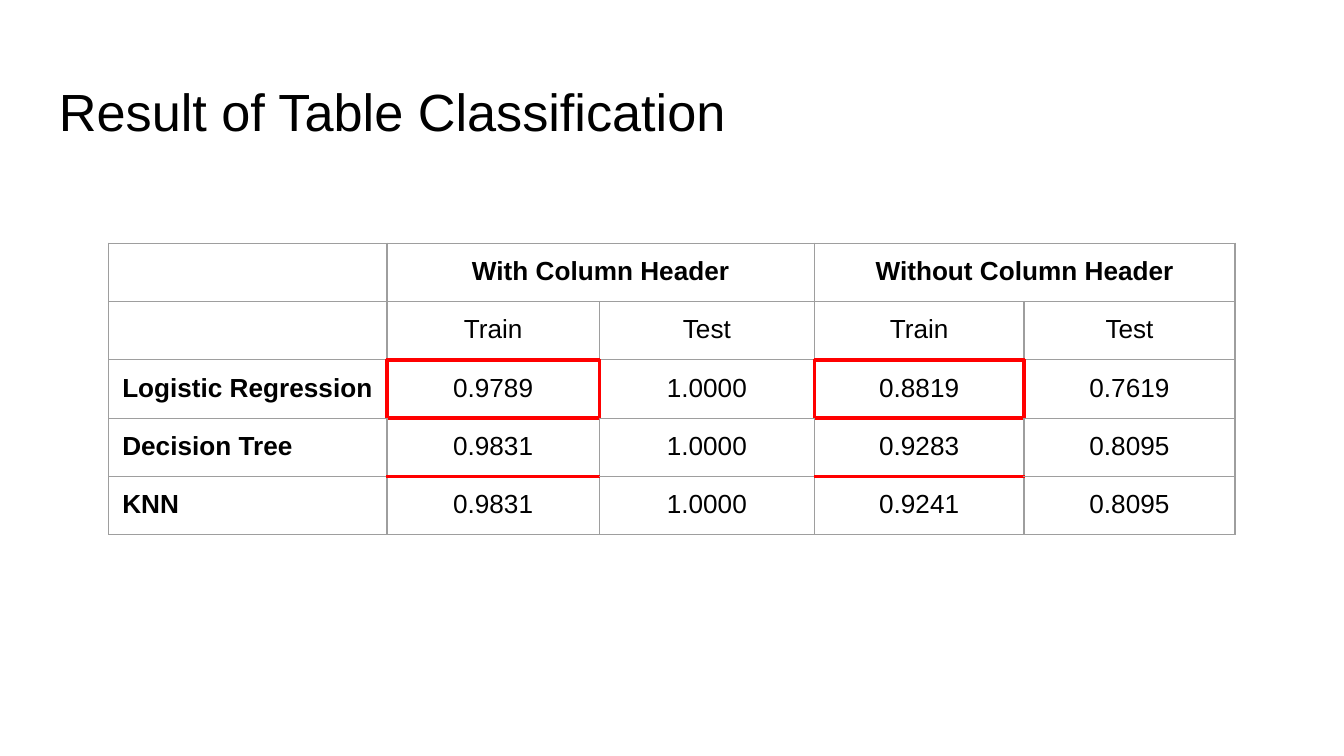
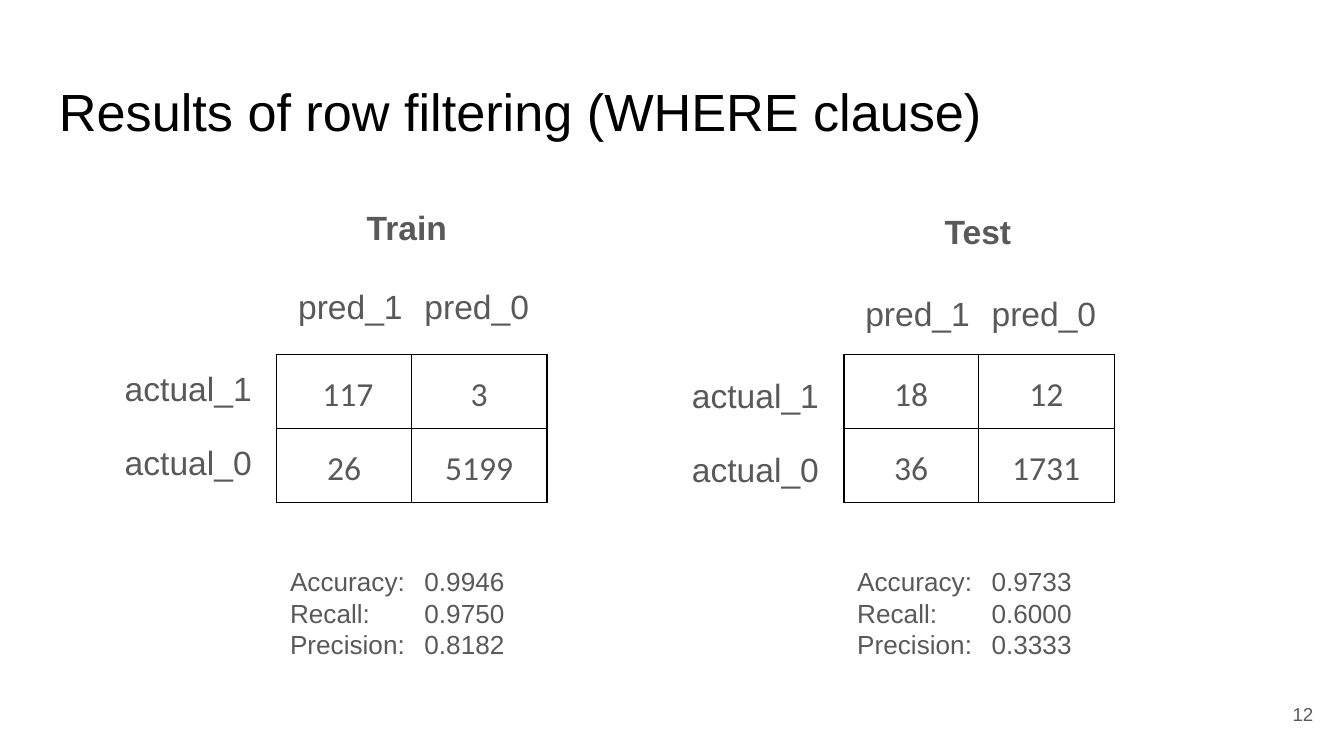
from dataclasses import dataclass

from lxml.etree import SubElement
from pptx import Presentation
from pptx.dml.color import RGBColor
from pptx.enum.text import MSO_ANCHOR, PP_ALIGN
from pptx.oxml.ns import qn
from pptx.slide import Slide
from pptx.table import Table, _Cell
from pptx.text.text import TextFrame
from pptx.util import Inches, Pt

BLACK = RGBColor(0x00, 0x00, 0x00)
GREY = RGBColor(0x59, 0x59, 0x59)
RULE_GREY = RGBColor(0x9E, 0x9E, 0x9E)
RED = RGBColor(0xFF, 0x00, 0x00)
INSET = Inches(0.1)
SIDES = {"lnL": (0, -1), "lnR": (0, 1), "lnT": (-1, 0), "lnB": (1, 0)}


@dataclass(frozen=True)
class TextStyle:
    size: float
    color: RGBColor = GREY
    bold: bool = False
    font: str = "Arial"
    align: PP_ALIGN = PP_ALIGN.LEFT
    line_spacing: float = 1.0


@dataclass(frozen=True)
class Border:
    color: RGBColor
    width: float = 0.75


@dataclass(frozen=True)
class ConfusionMatrix:
    heading: str
    left: float
    heading_left: float
    heading_top: float
    heading_width: float
    label_drop: float
    counts: list[list[str]]
    scores: list[str]


TITLE = TextStyle(28, BLACK)
PAGE_NUMBER = TextStyle(10, align=PP_ALIGN.RIGHT)
LABEL = TextStyle(18)
HEADING = TextStyle(18, bold=True)
SCORES = TextStyle(14)
COUNT = TextStyle(18, font="Calibri", align=PP_ALIGN.CENTER, line_spacing=1.15)
VALUE = TextStyle(14, BLACK, align=PP_ALIGN.CENTER)
COLUMN_HEADER = TextStyle(14, BLACK, bold=True, align=PP_ALIGN.CENTER)
ROW_HEADER = TextStyle(14, BLACK, bold=True)

CLASSIFICATION = [
    ["", "With Column Header", "", "Without Column Header", ""],
    ["", "Train", "Test", "Train", "Test"],
    ["Logistic Regression", "0.9789", "1.0000", "0.8819", "0.7619"],
    ["Decision Tree", "0.9831", "1.0000", "0.9283", "0.8095"],
    ["KNN", "0.9831", "1.0000", "0.9241", "0.8095"],
]
HIGHLIGHTED = {(2, 1), (2, 3)}
RED_UNDERLINES = {(3, 1, "lnB"), (4, 1, "lnT"), (3, 3, "lnB"), (4, 3, "lnT")}

MATRICES = [
    ConfusionMatrix("Train", 2.06, 2.63, 1.44, 0.87, 0,
                    [[" 117", "3"], ["26", "5199"]], ["0.9946", "0.9750", "0.8182"]),
    ConfusionMatrix("Test", 6.28, 6.93, 1.47, 0.71, 0.05,
                    [["18", "12"], ["36", "1731"]], ["0.9733", "0.6000", "0.3333"]),
]


def write_text(frame: TextFrame, text: str, style: TextStyle) -> None:
    frame.text = text
    for paragraph in frame.paragraphs:
        paragraph.alignment = style.align
        paragraph.line_spacing = style.line_spacing
        paragraph.font.name = style.font
        paragraph.font.size = Pt(style.size)
        paragraph.font.bold = style.bold
        paragraph.font.color.rgb = style.color
        if not paragraph.runs:
            ending = SubElement(paragraph._p, qn("a:endParaRPr"), sz=str(style.size * 100))
            SubElement(ending, qn("a:latin"), typeface=style.font)


def add_text(slide: Slide, left: float, top: float, width: float, height: float,
             text: str, style: TextStyle, anchor: MSO_ANCHOR = MSO_ANCHOR.TOP) -> None:
    box = slide.shapes.add_textbox(Inches(left), Inches(top), Inches(width), Inches(height))
    frame = box.text_frame
    frame.word_wrap = True
    frame.vertical_anchor = anchor
    frame.margin_left = frame.margin_right = frame.margin_top = frame.margin_bottom = INSET
    write_text(frame, text, style)


def set_borders(cell: _Cell, borders: dict[str, Border]) -> None:
    properties = cell._tc.get_or_add_tcPr()
    for index, (side, border) in enumerate(borders.items()):
        line = SubElement(properties, qn(f"a:{side}"), w=str(Pt(border.width)))
        fill = SubElement(line, qn("a:solidFill"))
        SubElement(fill, qn("a:srgbClr"), val=str(border.color))
        properties.insert(index, line)


def add_grid(slide: Slide, left: float, top: float, widths: list[float],
             row_height: float, rows: int) -> Table:
    table = slide.shapes.add_table(rows, len(widths), Inches(left), Inches(top),
                                   Inches(sum(widths)), Inches(row_height * rows)).table
    table.first_row = table.horz_banding = False
    for column, width in zip(table.columns, widths):
        column.width = Inches(width)
    return table


def fill_cell(cell: _Cell, text: str, style: TextStyle, borders: dict[str, Border]) -> None:
    cell.margin_left = cell.margin_right = cell.margin_top = cell.margin_bottom = INSET
    cell.fill.background()
    write_text(cell.text_frame, text, style)
    set_borders(cell, borders)


def classification_style(row: int, column: int) -> TextStyle:
    if row == 0:
        return COLUMN_HEADER
    return ROW_HEADER if column == 0 else VALUE


def classification_borders(row: int, column: int) -> dict[str, Border]:
    def is_red(side: str, down: int, across: int) -> bool:
        neighbours = {(row, column), (row + down, column + across)}
        return bool(neighbours & HIGHLIGHTED) or (row, column, side) in RED_UNDERLINES

    return {side: Border(RED, 2.25) if is_red(side, *step) else Border(RULE_GREY)
            for side, step in SIDES.items()}


def add_classification_table(slide: Slide) -> None:
    table = add_grid(slide, 0.81, 1.81, [2.07, 1.58, 1.6, 1.56, 1.57], 0.42,
                     len(CLASSIFICATION))
    for row, texts in enumerate(CLASSIFICATION):
        for column, text in enumerate(texts):
            fill_cell(table.cell(row, column), text, classification_style(row, column),
                      classification_borders(row, column))
    for column in (1, 3):
        table.cell(0, column).merge(table.cell(0, column + 1))


def add_confusion_matrix(slide: Slide, matrix: ConfusionMatrix) -> None:
    table = add_grid(slide, matrix.left, 2.64, [1, 1.01], 0.55, len(matrix.counts))
    borders = {side: Border(BLACK) for side in SIDES}
    for row, counts in enumerate(matrix.counts):
        for column, count in enumerate(counts):
            fill_cell(table.cell(row, column), count, COUNT, borders)
    for index, label in enumerate(("1", "0")):
        add_text(slide, matrix.left - 1.23, 2.64 + matrix.label_drop + 0.55 * index,
                 1.23, 0.43, f"actual_{label}", LABEL)
        add_text(slide, matrix.left + 0.06 + 0.94 * index, 2.03 + matrix.label_drop,
                 1, 0.43, f"pred_{label}", LABEL)
    add_text(slide, matrix.heading_left, matrix.heading_top, matrix.heading_width, 0.43,
             matrix.heading, HEADING)
    names = ("Accuracy", "Recall", "Precision")
    scores = "\n".join(f"{name}:\t{score}" for name, score in zip(names, matrix.scores))
    add_text(slide, matrix.left, 4.11, 2.2, 0.82, scores, SCORES)


def add_titled_slide(title: str) -> Slide:
    slide = presentation.slides.add_slide(presentation.slide_layouts[6])
    add_text(slide, 0.34, 0.49, 9.32, 0.63, title, TITLE)
    return slide


presentation = Presentation()
presentation.slide_width = Inches(10)
presentation.slide_height = Inches(10 * 9 / 16)

classification_slide = add_titled_slide("Result of Table Classification")
add_classification_table(classification_slide)

filtering_slide = add_titled_slide("Results of row filtering (WHERE clause)")
add_text(filtering_slide, 9.27, 5.1, 0.6, 0.43, "12", PAGE_NUMBER, MSO_ANCHOR.MIDDLE)
for confusion_matrix in MATRICES:
    add_confusion_matrix(filtering_slide, confusion_matrix)

presentation.save("out.pptx")
